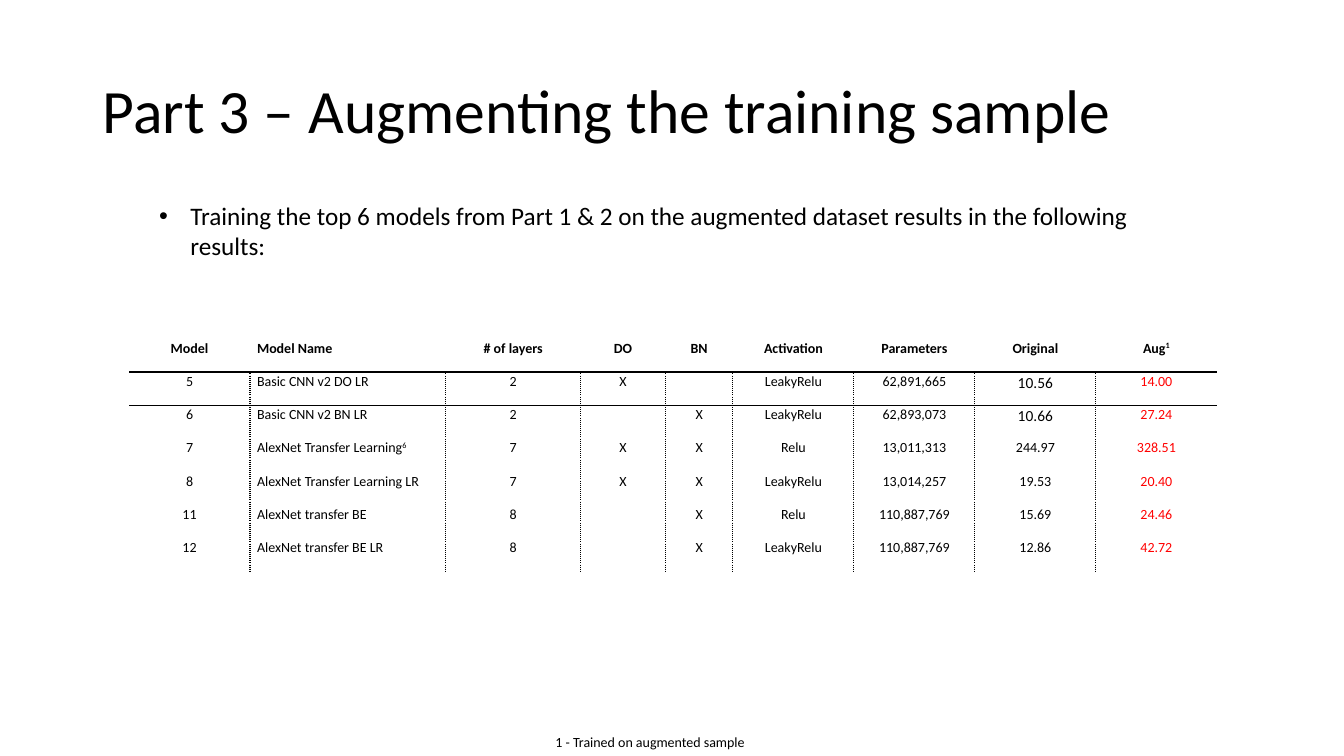
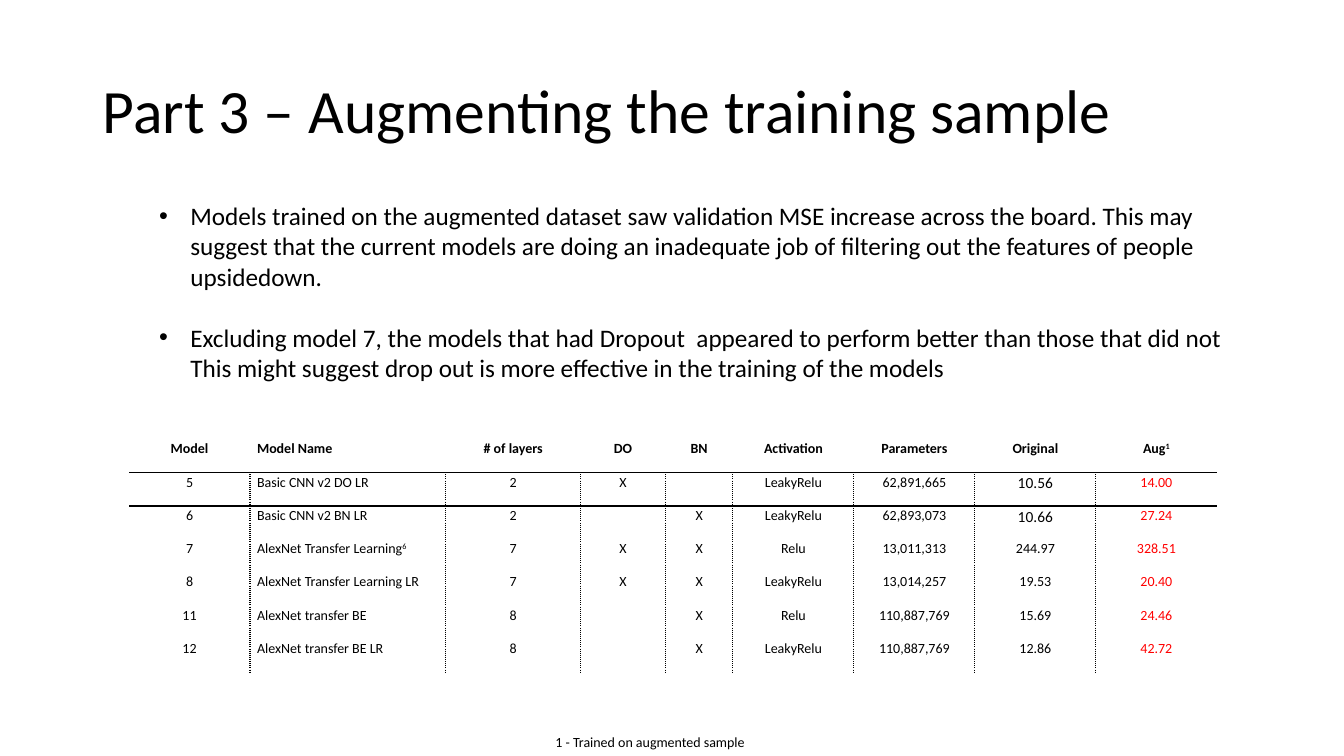
from lxml.etree import SubElement
from pptx import Presentation
from pptx.dml.color import RGBColor
from pptx.enum.text import MSO_ANCHOR, MSO_AUTO_SIZE, PP_ALIGN
from pptx.oxml.ns import qn
from pptx.util import Inches, Pt

BLACK = RGBColor(0x00, 0x00, 0x00)
RED = RGBColor(0xFF, 0x00, 0x00)
FONT = "Calibri"
TITLE = "Part 3 – Augmenting the training sample"
FOOTNOTE = "1 - Trained on augmented sample"
PLAIN_TABLE_STYLE = "{2D5ABB26-0587-4C30-8999-92F81FD0307C}"
SUPERSCRIPT_MARK = "^"
BULLET_INDENT = Inches(0.31)
BULLET_GAP = Pt(22)

COLUMN_WIDTHS = [1.2, 1.94, 1.34, 0.84, 0.67, 1.2, 1.2, 1.2, 1.2]
ROW_HEIGHT = 0.33
NAME_COLUMN, ORIGINAL_COLUMN, AUGMENTED_COLUMN = 1, 7, 8
LARGER_ORIGINALS = ("10.56", "10.66")
RESULTS = [
    ["Model", "Model Name", "# of layers", "DO", "BN", "Activation", "Parameters", "Original", "Aug^1"],
    ["5", "Basic CNN v2 DO LR", "2", "X", "", "LeakyRelu", "62,891,665", "10.56", "14.00"],
    ["6", "Basic CNN v2 BN LR", "2", "", "X", "LeakyRelu", "62,893,073", "10.66", "27.24"],
    ["7", "AlexNet Transfer Learning^6", "7", "X", "X", "Relu", "13,011,313", "244.97", "328.51"],
    ["8", "AlexNet Transfer Learning LR", "7", "X", "X", "LeakyRelu", "13,014,257", "19.53", "20.40"],
    ["11", "AlexNet transfer BE", "8", "", "X", "Relu", "110,887,769", "15.69", "24.46"],
    ["12", "AlexNet transfer BE LR", "8", "", "X", "LeakyRelu", "110,887,769", "12.86", "42.72"],
]

SLIDES = [
    {
        "bullets": [
            "Training the top 6 models from Part 1 & 2 on the augmented dataset results in the following results:",
        ],
        "bullet_box": (1.48, 1.94, 10.15, 0.71),
        "table_top": 3.36,
    },
    {
        "bullets": [
            "Models trained on the augmented dataset saw validation MSE increase across the board. "
            "This may suggest that the current models are doing an inadequate job of filtering out "
            "the features of people upsidedown.",
            "Excluding model 7, the models that had Dropout  appeared to perform better than those that did not\n"
            "This might suggest drop out is more effective in the training of the models",
        ],
        "bullet_box": (1.48, 1.94, 10.94, 1.92),
        "table_top": 4.36,
    },
]


def set_attributes(target, values):
    """Set each named attribute of the target."""
    for name, value in values.items():
        setattr(target, name, value)


def format_font(font, size, color=BLACK, bold=False):
    """Apply the shared typeface with the given size, colour and weight."""
    set_attributes(font, {"name": FONT, "size": Pt(size), "bold": bold})
    font.color.rgb = color


def add_lines(paragraph, text, size):
    """Write the text with a line break at each newline."""
    for index, line in enumerate(text.split("\n")):
        if index:
            paragraph.add_line_break()
        run = paragraph.add_run()
        run.text = line
        format_font(run.font, size)


def place_title(slide):
    """Move, fill and format the title placeholder."""
    title = slide.shapes.title
    set_attributes(title, {
        "left": Inches(0.92), "top": Inches(0.4),
        "width": Inches(11.5), "height": Inches(1.45),
    })
    set_attributes(title.text_frame, {
        "auto_size": MSO_AUTO_SIZE.NONE,
        "vertical_anchor": MSO_ANCHOR.MIDDLE,
        "word_wrap": True,
    })
    paragraph = title.text_frame.paragraphs[0]
    set_attributes(paragraph, {"alignment": PP_ALIGN.LEFT, "line_spacing": 0.9})
    add_lines(paragraph, TITLE, 44)


def add_text_box(slide, box, texts, size, anchor=MSO_ANCHOR.TOP):
    """Add a wrapping text box with one paragraph per text."""
    frame = slide.shapes.add_textbox(*map(Inches, box)).text_frame
    set_attributes(frame, {
        "word_wrap": True,
        "auto_size": MSO_AUTO_SIZE.SHAPE_TO_FIT_TEXT,
        "vertical_anchor": anchor,
    })
    for index, text in enumerate(texts):
        paragraph = frame.add_paragraph() if index else frame.paragraphs[0]
        add_lines(paragraph, text, size)
    return frame


def add_bullets(slide, box, texts):
    """Add a bulleted list with a line of space between its items."""
    paragraphs = add_text_box(slide, box, texts, 18).paragraphs
    for index, paragraph in enumerate(paragraphs):
        if index:
            paragraph.space_before = BULLET_GAP
        properties = paragraph._p.get_or_add_pPr()
        properties.set("marL", str(BULLET_INDENT))
        properties.set("indent", str(-BULLET_INDENT))
        SubElement(properties, qn("a:buFont"), typeface="Arial")
        SubElement(properties, qn("a:buChar"), char="•")


def set_borders(cell, row, column):
    """Draw the solid header rule and the dotted column rules around a cell."""
    is_body = row > 0
    borders = {
        "a:lnL": "dot" if is_body and column > 0 else None,
        "a:lnR": "dot" if is_body and column < AUGMENTED_COLUMN else None,
        "a:lnT": "solid" if row == 1 else None,
        "a:lnB": "solid" if row == 0 else None,
    }
    properties = cell._tc.get_or_add_tcPr()
    for tag, dash in borders.items():
        if dash:
            line = SubElement(properties, qn(tag), w=str(Pt(1)))
            fill = SubElement(line, qn("a:solidFill"))
            SubElement(fill, qn("a:srgbClr"), val=str(BLACK))
            SubElement(line, qn("a:prstDash"), val=dash)


def fill_cell(cell, text, row, column):
    """Write and format one cell of the results table."""
    set_attributes(cell, {
        "margin_left": Inches(0.07), "margin_right": Inches(0.07),
        "margin_top": 0, "margin_bottom": 0,
    })
    set_borders(cell, row, column)
    cell.fill.background()
    if not text:
        return
    paragraph = cell.text_frame.paragraphs[0]
    set_attributes(paragraph, {
        "alignment": PP_ALIGN.LEFT if column == NAME_COLUMN else PP_ALIGN.CENTER,
        "line_spacing": 1.07,
    })
    size = 11 if column == ORIGINAL_COLUMN and text in LARGER_ORIGINALS else 10
    color = RED if row and column == AUGMENTED_COLUMN else BLACK
    for index, part in enumerate(text.split(SUPERSCRIPT_MARK)):
        run = paragraph.add_run()
        run.text = part
        format_font(run.font, size, color, bold=row == 0)
        if index:
            run.font._element.set("baseline", "30000")


def add_results_table(slide, top):
    """Add the table comparing original and augmented results."""
    table = slide.shapes.add_table(
        len(RESULTS), len(COLUMN_WIDTHS), Inches(1.28), Inches(top),
        Inches(sum(COLUMN_WIDTHS)), Inches(ROW_HEIGHT * len(RESULTS)),
    ).table
    set_attributes(table, {"first_row": False, "horz_banding": False})
    table._tbl.tblPr.find(qn("a:tableStyleId")).text = PLAIN_TABLE_STYLE
    for column, width in zip(table.columns, COLUMN_WIDTHS):
        column.width = Inches(width)
    for row, texts in enumerate(RESULTS):
        table.rows[row].height = Inches(ROW_HEIGHT)
        for column, text in enumerate(texts):
            fill_cell(table.cell(row, column), text, row, column)


def main():
    """Build and save the presentation."""
    presentation = Presentation()
    set_attributes(presentation, {"slide_width": Inches(13.33), "slide_height": Inches(7.5)})
    title_only = presentation.slide_layouts.get_by_name("Title Only")
    for content in SLIDES:
        slide = presentation.slides.add_slide(title_only)
        place_title(slide)
        add_bullets(slide, content["bullet_box"], content["bullets"])
        add_results_table(slide, content["table_top"])
        add_text_box(slide, (5.41, 7.23, 2.29, 0.27), [FOOTNOTE], 10, MSO_ANCHOR.MIDDLE)
    presentation.save("out.pptx")


if __name__ == "__main__":
    main()
